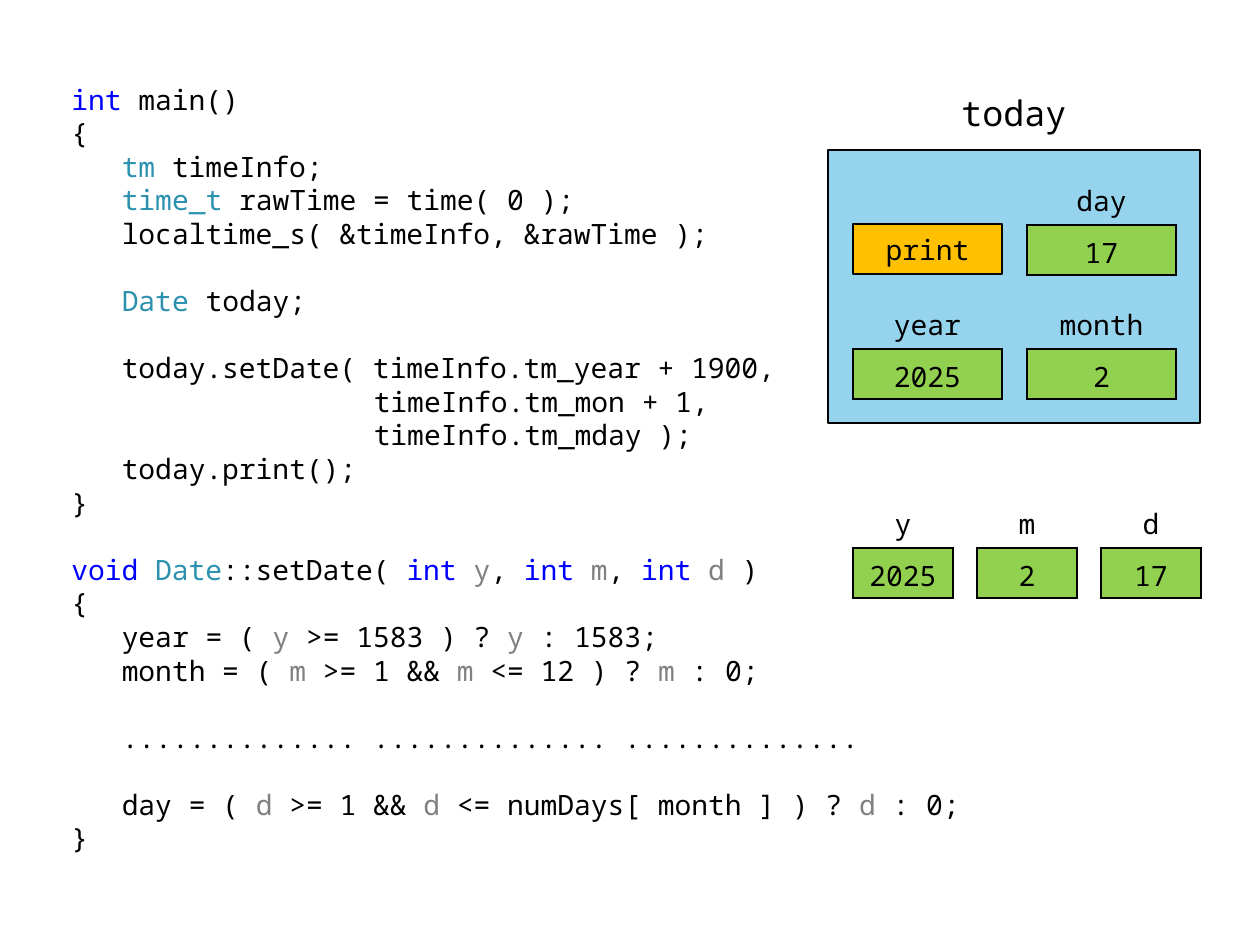
from lxml import etree
from pptx import Presentation, util as u
from pptx.dml.color import RGBColor
from pptx.enum import shapes, text
from pptx.oxml.ns import qn

COLORS = {"plain": "000000", "keyword": "0000FF", "type": "2B91AF", "param": "808080",
          "object": "96D4EE", "method": "FFC000", "value": "92D050"}
FONT = "Noto Sans Mono"
K, T, P, N = "keyword", "type", "param", "plain"

# Each line: indent in characters, blank lines above, runs
CODE = [
    (0, 0, [(K, "int "), (N, "main()")]),
    (0, 0, [(N, "{")]),
    (3, 0, [(T, "tm "), (N, "timeInfo;")]),
    (3, 0, [(T, "time_t "), (N, "rawTime = time( 0 );")]),
    (3, 0, [(N, "localtime_s( &timeInfo, &rawTime );")]),
    (3, 1, [(T, "Date"), (N, " today;")]),
    (3, 1, [(N, "today.setDate( timeInfo.tm_year + 1900,")]),
    (18, 0, [(N, "timeInfo.tm_mon + 1,")]),
    (18, 0, [(N, "timeInfo.tm_mday );")]),
    (3, 0, [(N, "today.print();")]),
    (0, 0, [(N, "}")]),
    (0, 1, [(K, "void "), (T, "Date"), (N, "::setDate( "), (K, "int "), (P, "y"), (N, ", "),
            (K, "int "), (P, "m"), (N, ", "), (K, "int "), (P, "d"), (N, " )")]),
    (0, 0, [(N, "{")]),
    (3, 0, [(N, "year = ( "), (P, "y"), (N, " >= 1583 ) ? "), (P, "y"), (N, " : 1583;")]),
    (3, 0, [(N, "month = ( "), (P, "m"), (N, " >= 1 && "), (P, "m"), (N, " <= 12 ) ? "),
            (P, "m"), (N, " : 0;")]),
    (3, 1, [(N, ".............. .............. ..............")]),
    (3, 1, [(N, "day = ( "), (P, "d"), (N, " >= 1 && "), (P, "d"),
            (N, " <= numDays[ month ] ) ? "), (P, "d"), (N, " : 0;")]),
    (0, 0, [(N, "}")]),
]
PARAMETERS = [("y", "2025"), ("m", "2"), ("d", "17")]
# Each member: label, value, column, row
MEMBERS = [("year", "2025", 0, 1), ("month", "2", 1, 1), ("day", "17", 1, 0)]

LEFT, ROW_H = 853, 50
PARAM_TOP, PARAM_W, PARAM_STEP = 498, 100, 124
MEMBER_TOP, MEMBER_W, MEMBER_STEP, MEMBER_DROP = 175, 149, 174, 124
LINE_PT, CHAR_PT = 19.2, 9.6


def px(n):
    return round(n * 914400 / 126)


def color(name):
    return RGBColor.from_string(COLORS[name])


def add_run(paragraph, words, kind="plain", size=16):
    run = paragraph.add_run()
    run.text = words
    run.font.size = u.Pt(size)
    run.font.name = FONT
    run.font.bold = False
    run.font.color.rgb = color(kind)


def center_text(frame, words, size=16):
    frame.vertical_anchor = text.MSO_ANCHOR.MIDDLE
    frame.paragraphs[0].alignment = text.PP_ALIGN.CENTER
    add_run(frame.paragraphs[0], words, size=size)


def add_process(slide, box, fill):
    process = slide.shapes.add_shape(shapes.MSO_SHAPE.FLOWCHART_PROCESS, *map(px, box))
    process.shadow.inherit = False
    process.fill.solid()
    process.fill.fore_color.rgb = color(fill)
    process.line.color.rgb = color("plain")
    process.line.width = u.Pt(1.5)
    return process


def set_borders(cell, drawn):
    props = cell._tc.get_or_add_tcPr()
    for side in "LRTB":
        border = etree.SubElement(props, qn("a:ln" + side), w=str(u.Pt(1.5)))
        if side in drawn:
            fill = etree.SubElement(border, qn("a:solidFill"))
            etree.SubElement(fill, qn("a:srgbClr"), val=COLORS["plain"])
        else:
            etree.SubElement(border, qn("a:noFill"))


def add_variable(slide, label, value, left, top, width):
    table = slide.shapes.add_table(2, 1, px(left), px(top), px(width), px(2 * ROW_H)).table
    table.first_row = table.horz_banding = False
    label_cell, value_cell = table.cell(0, 0), table.cell(1, 0)
    for cell, words, sides in ((label_cell, label, "B"), (value_cell, value, "LRTB")):
        set_borders(cell, sides)
        cell.vertical_anchor = text.MSO_ANCHOR.MIDDLE
        cell.text_frame.paragraphs[0].alignment = text.PP_ALIGN.CENTER
        add_run(cell.text_frame.paragraphs[0], words)
    label_cell.fill.background()
    value_cell.margin_bottom = 0
    value_cell.fill.solid()
    value_cell.fill.fore_color.rgb = color("value")


def add_code(slide):
    frame = slide.shapes.add_textbox(px(59), px(76), px(1142), px(794)).text_frame
    frame.word_wrap = True
    for i, (indent, blanks, runs) in enumerate(CODE):
        line = frame.paragraphs[0] if i == 0 else frame.add_paragraph()
        line.line_spacing = u.Pt(LINE_PT)
        line.space_before = u.Pt(blanks * LINE_PT)
        line._p.get_or_add_pPr().set("marL", str(u.Pt(indent * CHAR_PT)))
        for kind, words in runs:
            add_run(line, words, kind)


def main():
    deck = Presentation()
    deck.slide_width, deck.slide_height = u.Inches(10), u.Inches(7.5)
    slide = deck.slides.add_slide(deck.slide_layouts[6])

    add_code(slide)
    for i, (label, value) in enumerate(PARAMETERS):
        add_variable(slide, label, value, LEFT + i * PARAM_STEP, PARAM_TOP, PARAM_W)

    add_process(slide, (828, 150, 372, 273), "object")
    method = add_process(slide, (LEFT, 224, MEMBER_W, ROW_H), "method")
    center_text(method.text_frame, "print")
    for label, value, column, row in MEMBERS:
        add_variable(slide, label, value, LEFT + column * MEMBER_STEP,
                     MEMBER_TOP + row * MEMBER_DROP, MEMBER_W)

    title = slide.shapes.add_textbox(px(927), px(76), px(174), px(74)).text_frame
    title.word_wrap = True
    center_text(title, "today", 20)
    deck.save("out.pptx")


if __name__ == "__main__":
    main()
